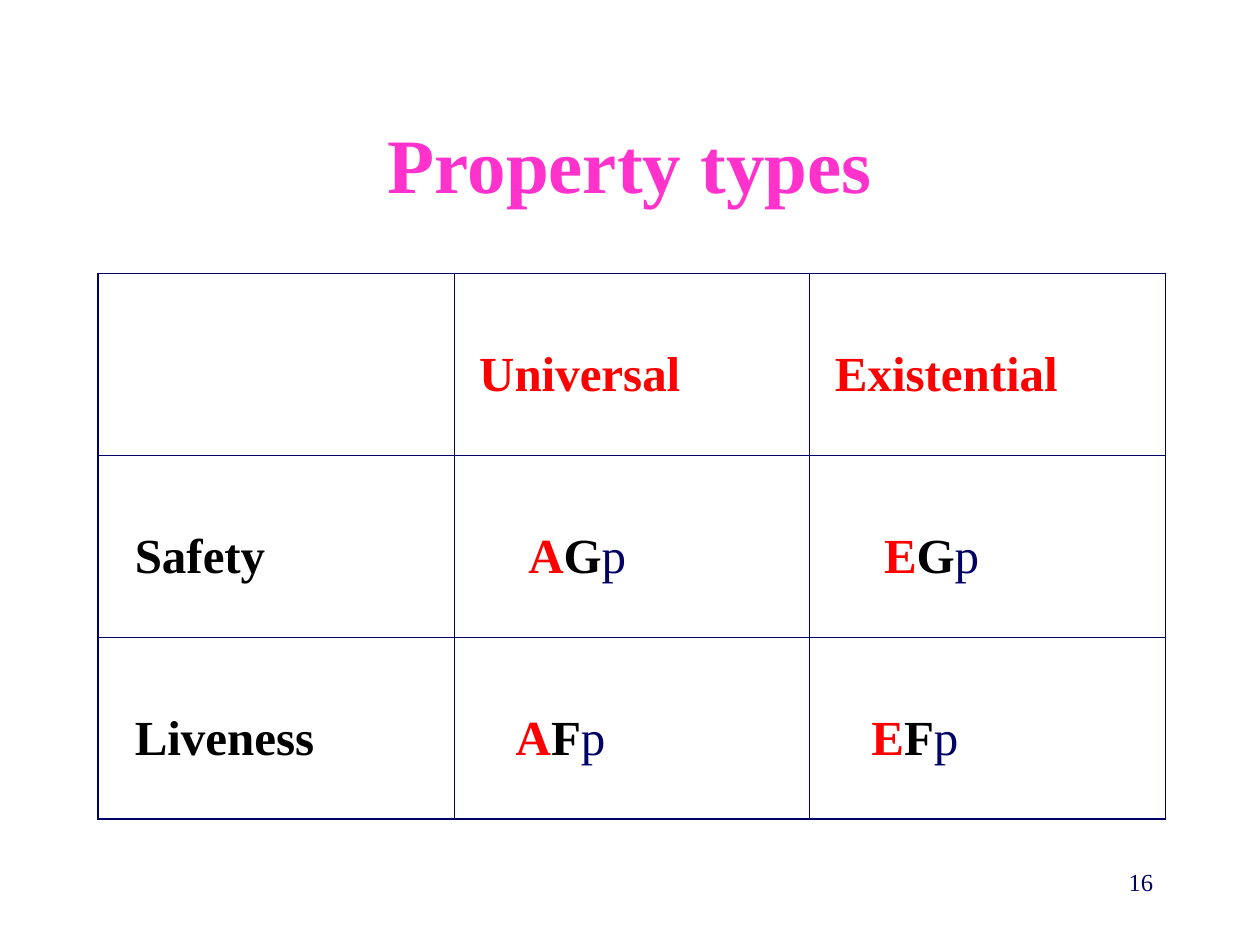
from lxml.etree import SubElement
from pptx import Presentation
from pptx.dml.color import RGBColor
from pptx.enum.text import MSO_ANCHOR as Anchor, PP_ALIGN as Align
from pptx.oxml.ns import qn
from pptx.util import Inches, Pt

NAVY, RED, BLACK, PINK = "000066", "FF0000", "000000", "FF33CC"


def color(hex_value):
    return RGBColor.from_string(hex_value)


class SlideBuilder:
    font_name = "Times New Roman"
    cell_size = 28
    outer_line, inner_line = 1.08, 0.45

    def __init__(self, deck):
        self.slide = deck.slides.add_slide(deck.slide_layouts[5])

    def style(self, font, size, hex_value, bold=False):
        font.name, font.size, font.bold = self.font_name, Pt(size), bold
        font.color.rgb = color(hex_value)

    def place_text(self, shape, box, text, size, hex_value, align, anchor, bold=False):
        shape.left, shape.top, shape.width, shape.height = map(Inches, box)
        frame = shape.text_frame
        frame.word_wrap, frame.vertical_anchor = True, anchor
        paragraph = frame.paragraphs[0]
        paragraph.text, paragraph.alignment = text, align
        self.style(paragraph.font, size, hex_value, bold)

    def title(self, text, box):
        self.place_text(self.slide.shapes.title, box, text, 44, PINK,
                        Align.CENTER, Anchor.MIDDLE, bold=True)

    def page_number(self, text, box):
        number = self.slide.shapes.add_textbox(*map(Inches, box))
        self.place_text(number, box, text, 14, NAVY, Align.RIGHT, Anchor.TOP)

    def borders(self, cell, outer_sides):
        properties = cell._tc.get_or_add_tcPr()
        for side in "LRTB":
            width = self.outer_line if side in outer_sides else self.inner_line
            line = SubElement(properties, qn(f"a:ln{side}"), w=str(Pt(width)))
            fill = SubElement(line, qn("a:solidFill"))
            SubElement(fill, qn("a:srgbClr"), val=NAVY)

    def cell(self, cell, indent, runs):
        cell.margin_left, cell.margin_top = Inches(indent), Inches(0.59)
        paragraph = cell.text_frame.paragraphs[0]
        for text, hex_value, bold in runs:
            run = paragraph.add_run()
            run.text = text
            self.style(run.font, self.cell_size, hex_value, bold)

    def table(self, rows, box):
        last_row, last_column = len(rows) - 1, len(rows[0]) - 1
        grid = self.slide.shapes.add_table(
            len(rows), len(rows[0]), *map(Inches, box)).table
        grid.first_row = grid.horz_banding = False
        for r, row in enumerate(rows):
            for c, (indent, runs) in enumerate(row):
                cell = grid.cell(r, c)
                edges = {"L": c == 0, "R": c == last_column,
                         "T": r == 0, "B": r == last_row}
                self.borders(cell, [side for side, outer in edges.items() if outer])
                cell.fill.background()
                self.cell(cell, indent, runs)


def heading(text):
    return 0.2, [(text, RED, True)]


def row_label(text):
    return 0.29, [(text, BLACK, True)]


def formula(quantifier, operator, indent):
    return indent, [(quantifier, RED, True), (operator, BLACK, True), ("p", NAVY, False)]


def main():
    deck = Presentation()
    deck.slide_width, deck.slide_height = Inches(10), Inches(7.5)
    builder = SlideBuilder(deck)

    # Title
    builder.title("Property types", (0.75, 0.67, 8.5, 1.25))

    # Property kinds by path quantifier
    property_rows = [
        [(0.1, []), heading("Universal"), heading("Existential")],
        [row_label("Safety"), formula("A", "G", 0.59), formula("E", "G", 0.59)],
        [row_label("Liveness"), formula("A", "F", 0.49), formula("E", "F", 0.49)],
    ]
    builder.table(property_rows, (0.78, 2.17, 8.47, 4.33))

    # Page number
    builder.page_number("16", (7.17, 6.83, 2.08, 0.5))

    deck.save("out.pptx")


if __name__ == "__main__":
    main()
